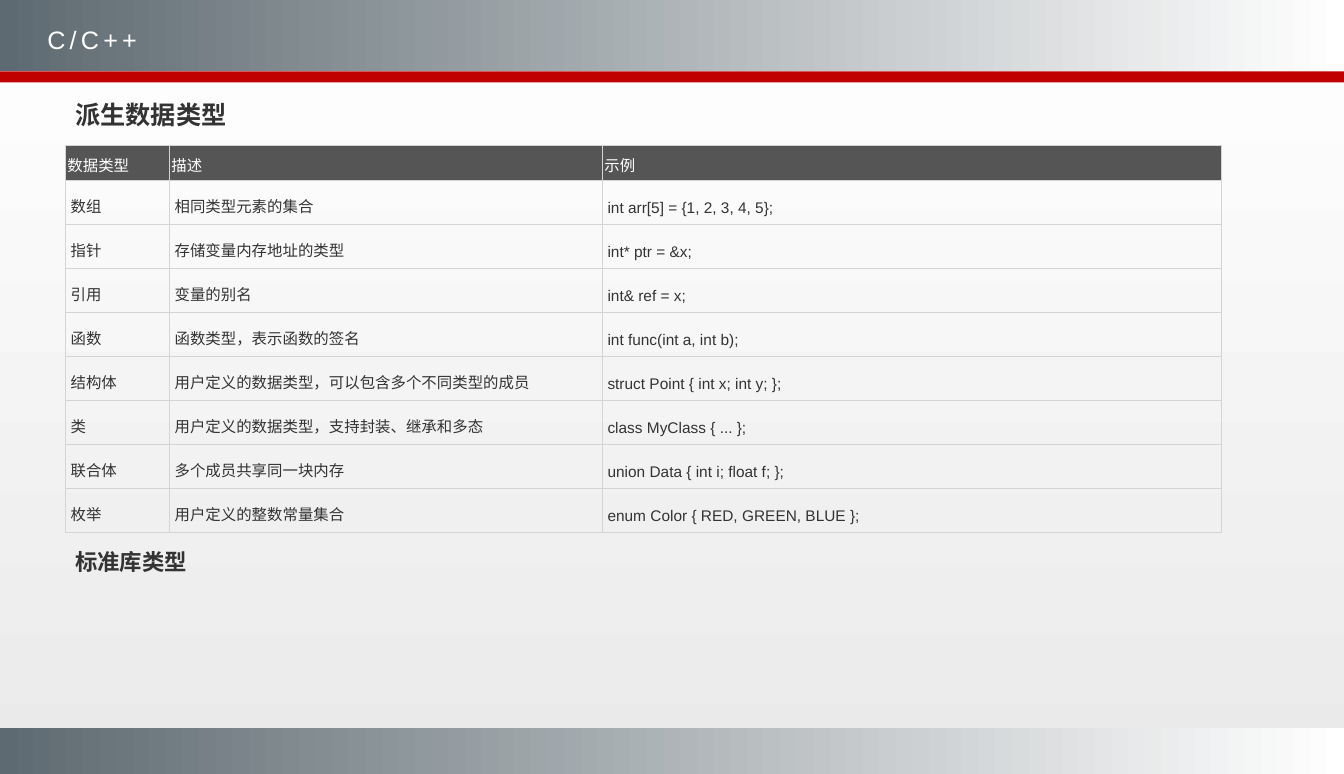
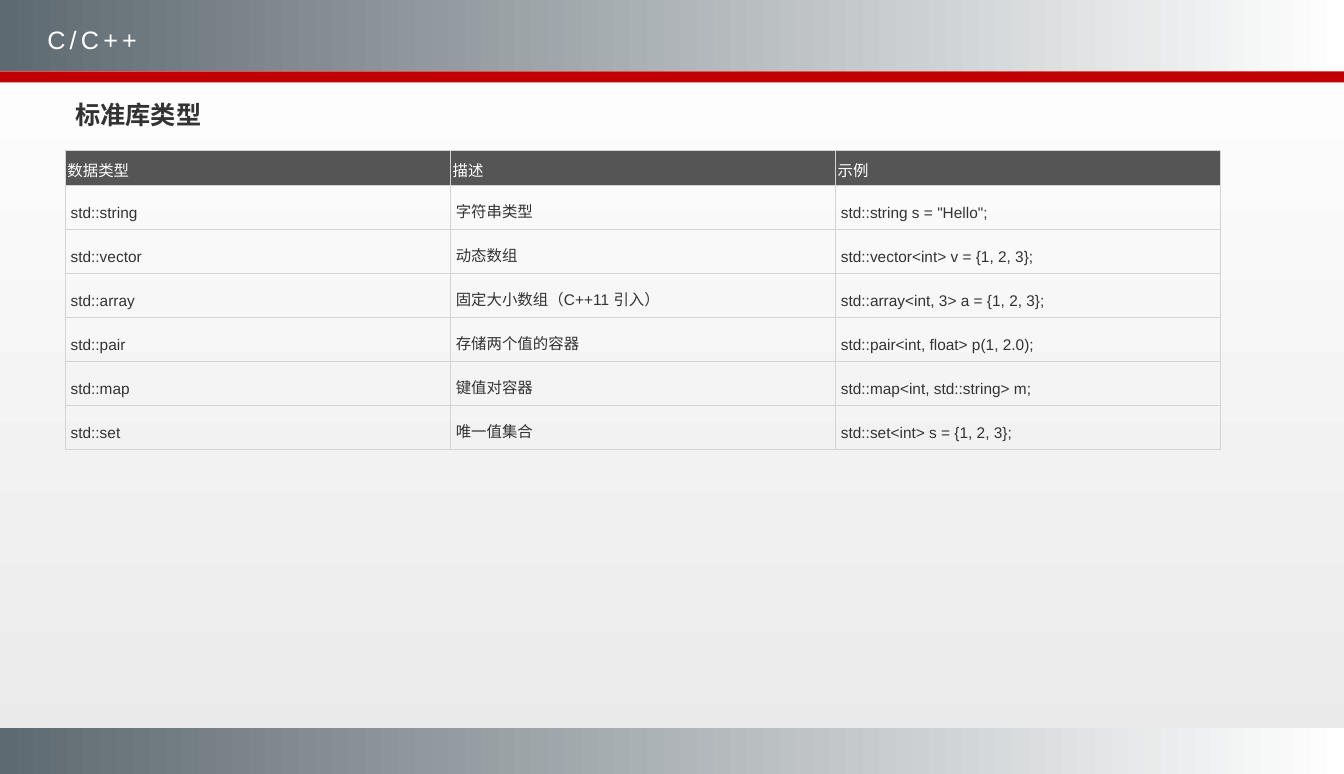
from dataclasses import dataclass

from lxml import etree
from pptx import Presentation
from pptx.dml.color import RGBColor
from pptx.enum.shapes import MSO_SHAPE
from pptx.enum.text import MSO_ANCHOR, MSO_AUTO_SIZE, PP_ALIGN
from pptx.oxml.ns import qn
from pptx.util import Cm, Pt

RECTANGLE = MSO_SHAPE.RECTANGLE
TOP = MSO_ANCHOR.TOP
MIDDLE = MSO_ANCHOR.MIDDLE
LEFT = PP_ALIGN.LEFT
GROW = MSO_AUTO_SIZE.SHAPE_TO_FIT_TEXT
TITLE_ONLY = 5


@dataclass(frozen=True)
class Theme:
    font: str = "Arial"
    language: str = "zh-CN"
    slate: str = "5E6A71"
    white: str = "FFFFFF"
    haze: str = "EAEAEA"
    red: str = "C00000"
    ink: str = "333333"
    header_fill: str = "555555"
    rule: str = "D4D4D4"
    title_size: float = 18
    heading_size: float = 18
    subheading_size: float = 16
    cell_size: float = 11
    row_leading: float = 21
    rule_width: float = 0.75
    title_spacing: float = 3


@dataclass(frozen=True)
class Box:
    left: float
    top: float
    width: float
    height: float

    def lengths(self):
        return Cm(self.left), Cm(self.top), Cm(self.width), Cm(self.height)


THEME = Theme()
SLIDE_WIDTH, SLIDE_HEIGHT = 33.87, 19.5
HEADER_BAND = Box(0, 0, SLIDE_WIDTH, 1.8)
RED_BAND = Box(0, 1.8, SLIDE_WIDTH, 0.28)
FOOTER_BAND = Box(0, 18.33, SLIDE_WIDTH, 1.17)
TITLE = Box(0.94, 0.48, 31.57, 1.02)
HEADING = Box(1.65, 2.39, 11.28, 1.02)
SUBHEADING = Box(1.65, 13.69, 14.12, 0.94)
TABLE_LEFT, TABLE_WIDTH = 1.65, 29.12
HEADER_ROW, BODY_ROW = 0.88, 1.11
HEADER_INSETS = (0.05, 0.2)
BODY_INSETS = (0.13, 0.18)

COLUMN_TITLES = ("数据类型", "描述", "示例")
DERIVED_TYPES = (
    ("数组", "相同类型元素的集合", "int arr[5] = {1, 2, 3, 4, 5};"),
    ("指针", "存储变量内存地址的类型", "int* ptr = &x;"),
    ("引用", "变量的别名", "int& ref = x;"),
    ("函数", "函数类型，表示函数的签名", "int func(int a, int b);"),
    ("结构体", "用户定义的数据类型，可以包含多个不同类型的成员",
     "struct Point { int x; int y; };"),
    ("类", "用户定义的数据类型，支持封装、继承和多态", "class MyClass { ... };"),
    ("联合体", "多个成员共享同一块内存", "union Data { int i; float f; };"),
    ("枚举", "用户定义的整数常量集合", "enum Color { RED, GREEN, BLUE };"),
)
LIBRARY_TYPES = (
    ("std::string", "字符串类型", 'std::string s = "Hello";'),
    ("std::vector", "动态数组", "std::vector<int> v = {1, 2, 3};"),
    ("std::array", "固定大小数组（C++11 引入）", "std::array<int, 3> a = {1, 2, 3};"),
    ("std::pair", "存储两个值的容器", "std::pair<int, float> p(1, 2.0);"),
    ("std::map", "键值对容器", "std::map<int, std::string> m;"),
    ("std::set", "唯一值集合", "std::set<int> s = {1, 2, 3};"),
)


def rgb(value):
    return RGBColor.from_string(value)


def fill_gradient(fill, start, end, angle):
    fill.gradient()
    fill.gradient_angle = angle
    for stop, colour in zip(fill.gradient_stops, (start, end)):
        stop.color.rgb = rgb(colour)


def add_text(paragraph, text, size, colour, bold=False, spacing=0):
    run = paragraph.add_run()
    run.text = text
    run.font.name = THEME.font
    run.font.size = Pt(size)
    run.font.bold = bold
    run.font.color.rgb = rgb(colour)
    properties = run._r.get_or_add_rPr()
    properties.set("lang", THEME.language)
    if spacing:
        properties.set("spc", str(int(spacing * 100)))


# Shared background, bands and title position
def add_band(slide, box):
    band = slide.shapes.add_shape(RECTANGLE, *box.lengths())
    band.shadow.inherit = False
    band.line.fill.background()
    return band


def style_layout(layout, slide):
    """Set up the layout; bands are drawn on the slide, then moved there."""
    fill_gradient(layout.background.fill, THEME.haze, THEME.white, 90)
    header, footer, red = (
        add_band(slide, box) for box in (HEADER_BAND, FOOTER_BAND, RED_BAND))
    for band in (header, footer):
        fill_gradient(band.fill, THEME.slate, THEME.white, 0)
    red.fill.solid()
    red.fill.fore_color.rgb = rgb(THEME.red)
    for band in (header, footer, red):
        layout.shapes.element.append(band.element)


def set_title(slide, text, box):
    title = slide.shapes.title
    title.left, title.top, title.width, title.height = box.lengths()
    frame = title.text_frame
    frame.vertical_anchor = MIDDLE
    frame.auto_size = GROW
    paragraph = frame.paragraphs[0]
    paragraph.alignment = LEFT
    add_text(paragraph, text, THEME.title_size, THEME.white,
             spacing=THEME.title_spacing)


def add_heading(slide, text, box, size):
    frame = slide.shapes.add_textbox(*box.lengths()).text_frame
    frame.word_wrap = True
    frame.auto_size = GROW
    add_text(frame.paragraphs[0], text, size, THEME.ink, bold=True)


# Tables
def add_borders(cell):
    properties = cell._tc.get_or_add_tcPr()
    for side in ("a:lnL", "a:lnR", "a:lnT", "a:lnB"):
        line = etree.SubElement(properties, qn(side),
                                w=str(Pt(THEME.rule_width)))
        solid = etree.SubElement(line, qn("a:solidFill"))
        etree.SubElement(solid, qn("a:srgbClr"), val=THEME.rule)


def fill_cell(cell, text, is_header):
    add_borders(cell)
    side, end = HEADER_INSETS if is_header else BODY_INSETS
    cell.margin_left = cell.margin_right = Cm(side)
    cell.margin_top = cell.margin_bottom = Cm(end)
    cell.vertical_anchor = TOP
    paragraph = cell.text_frame.paragraphs[0]
    if is_header:
        cell.fill.solid()
        cell.fill.fore_color.rgb = rgb(THEME.header_fill)
    else:
        cell.fill.background()
        paragraph.line_spacing = Pt(THEME.row_leading)
    add_text(paragraph, text, THEME.cell_size,
             THEME.white if is_header else THEME.ink)


def add_type_table(slide, rows, top, column_widths):
    box = Box(TABLE_LEFT, top, sum(column_widths),
              HEADER_ROW + BODY_ROW * len(rows))
    table = slide.shapes.add_table(
        len(rows) + 1, len(COLUMN_TITLES), *box.lengths()).table
    table.horz_banding = False
    for column, width in zip(table.columns, column_widths):
        column.width = Cm(width)
    for index, texts in enumerate((COLUMN_TITLES, *rows)):
        is_header = index == 0
        table.rows[index].height = Cm(HEADER_ROW if is_header else BODY_ROW)
        for cell, text in zip(table.rows[index].cells, texts):
            fill_cell(cell, text, is_header)


def fill_type_slide(slide, heading, rows, table_top, column_widths):
    set_title(slide, "C/C++", TITLE)
    add_heading(slide, heading, HEADING, THEME.heading_size)
    add_type_table(slide, rows, table_top, column_widths)


def main():
    deck = Presentation()
    deck.slide_width, deck.slide_height = Cm(SLIDE_WIDTH), Cm(SLIDE_HEIGHT)
    layout = deck.slide_layouts[TITLE_ONLY]

    # Derived data types
    derived = deck.slides.add_slide(layout)
    style_layout(layout, derived)
    fill_type_slide(derived, "派生数据类型", DERIVED_TYPES, 3.66,
                    (2.62, 10.91, 15.59))
    add_heading(derived, "标准库类型", SUBHEADING, THEME.subheading_size)

    # Standard library types
    library = deck.slides.add_slide(layout)
    fill_type_slide(library, "标准库类型", LIBRARY_TYPES, 3.79,
                    [TABLE_WIDTH / len(COLUMN_TITLES)] * len(COLUMN_TITLES))

    deck.save("out.pptx")


if __name__ == "__main__":
    main()
